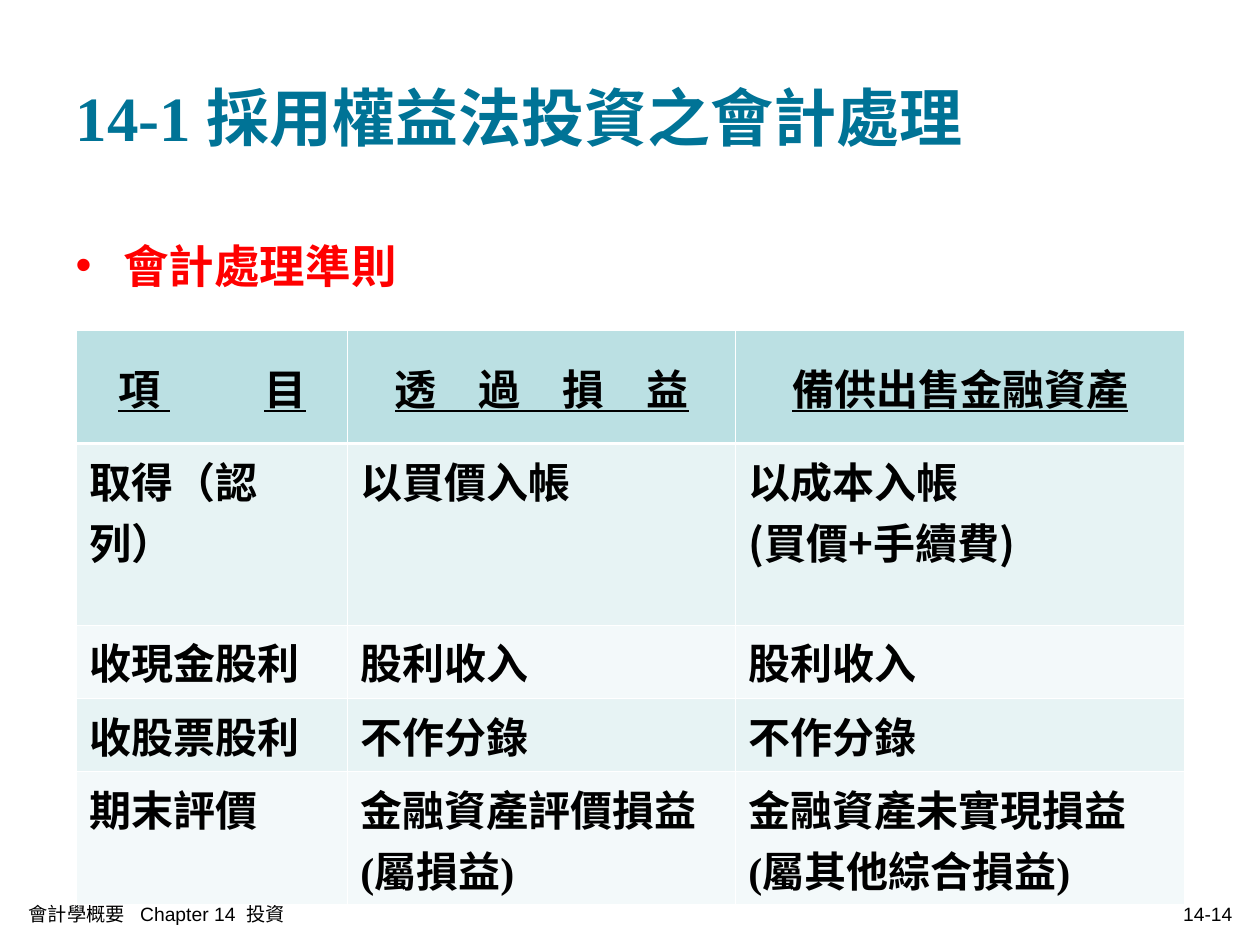
from itertools import zip_longest

from lxml.etree import SubElement
from pptx import Presentation
from pptx.dml.color import RGBColor
from pptx.enum.text import MSO_ANCHOR, PP_ALIGN
from pptx.oxml.ns import qn
from pptx.util import Inches, Pt

COLORS = {
    "title": "007396",
    "accent": "FF0000",
    "text": "000000",
    "border": "FFFFFF",
    "header": "BBE0E3",
    "odd_row": "E7F3F4",
    "even_row": "F3F9FA",
}
SERIF, SANS, CJK = "Times New Roman", "Arial", "Noto Sans CJK SC"

COLUMN_WIDTHS = (2.15, 3.08, 3.56)
ROW_HEIGHTS = (0.9, 1.44, 0.58, 0.58, 1.06)
ROWS = (
    ("項 目", "透\u3000過\u3000損\u3000益", "備供出售金融資產"),
    ("取得（認列）", "以買價入帳", "以成本入帳\n(買價+手續費)"),
    ("收現金股利", "股利收入", "股利收入"),
    ("收股票股利", "不作分錄", "不作分錄"),
    ("期末評價", "金融資產評價損益(屬損益)", "金融資產未實現損益(屬其他綜合損益)"),
)


def add_run(paragraph, text, size, font, color, bold, underline, spacing=0):
    run = paragraph.add_run()
    run.text = text
    run.font.size = Pt(size)
    run.font.name = font
    run.font.bold = bold
    run.font.underline = underline
    run.font.color.rgb = RGBColor.from_string(COLORS[color])
    properties = run.font._element
    SubElement(properties, qn("a:ea"), typeface=CJK)
    if spacing:
        properties.set("spc", str(spacing * 100))


def write_text(frame, text, size=24, font=SERIF, color="text", bold=True,
               underline=False, align=PP_ALIGN.LEFT, gaps=()):
    """Write one paragraph per line; gaps lists points that widen single spaces."""
    for index, line in enumerate(text.split("\n")):
        paragraph = frame.add_paragraph() if index else frame.paragraphs[0]
        paragraph.alignment = align
        style = (size, font, color, bold, underline)
        parts = line.split(" ", len(gaps))
        for part, gap in zip_longest(parts, gaps[:len(parts) - 1]):
            add_run(paragraph, part, *style)
            if gap is not None:
                add_run(paragraph, " ", *style, spacing=gap)


def place(shape, left, top, width, height):
    shape.left, shape.top = Inches(left), Inches(top)
    shape.width, shape.height = Inches(width), Inches(height)


def add_title(slide, text):
    title = slide.shapes.title
    place(title, 0.5, 0.3, 9, 1.25)
    title.text_frame.vertical_anchor = MSO_ANCHOR.MIDDLE
    write_text(title.text_frame, text, size=36, color="title")


def add_bullet(slide, text):
    body = slide.placeholders[1]
    place(body, 0.5, 1.75, 9, 4.95)
    write_text(body.text_frame, text, size=26, color="accent")
    paragraph = body.text_frame.paragraphs[0]
    paragraph.line_spacing = 1.2
    paragraph.space_before = Pt(0)
    properties = paragraph._p.get_or_add_pPr()
    properties.set("marL", str(Inches(0.38)))
    properties.set("indent", str(-Inches(0.38)))
    bullet_color = SubElement(properties, qn("a:buClr"))
    SubElement(bullet_color, qn("a:srgbClr"), val=COLORS["accent"])
    SubElement(properties, qn("a:buFont"), typeface=SANS)
    SubElement(properties, qn("a:buChar"), char="•")


def add_footer(slide, text, left, width, **text_format):
    box = slide.shapes.add_textbox(
        Inches(left), Inches(7.09), Inches(width), Inches(0.33))
    box.text_frame.word_wrap = True
    box.text_frame.vertical_anchor = MSO_ANCHOR.MIDDLE
    write_text(box.text_frame, text, size=11, font=SANS, bold=False, **text_format)


def set_borders(cell, row):
    """Draw thin borders, with a thicker rule below the header."""
    thick_edge = {0: "lnB", 1: "lnT"}.get(row)
    for edge in ("lnL", "lnR", "lnT", "lnB"):
        width = Pt(1.5 if edge == thick_edge else 0.45)
        line = SubElement(cell._tc.get_or_add_tcPr(), qn(f"a:{edge}"), w=str(width))
        fill = SubElement(line, qn("a:solidFill"))
        SubElement(fill, qn("a:srgbClr"), val=COLORS["border"])


def add_rules_table(slide):
    table = slide.shapes.add_table(
        len(ROWS), len(COLUMN_WIDTHS), Inches(0.61), Inches(2.62),
        Inches(sum(COLUMN_WIDTHS)), Inches(sum(ROW_HEIGHTS))).table
    for column, width in zip(table.columns, COLUMN_WIDTHS):
        column.width = Inches(width)
    for row, height in zip(table.rows, ROW_HEIGHTS):
        row.height = Inches(height)
    for row, texts in enumerate(ROWS):
        is_header = row == 0
        fill = "header" if is_header else ("even_row", "odd_row")[row % 2]
        for column, text in enumerate(texts):
            cell = table.cell(row, column)
            set_borders(cell, row)
            cell.fill.solid()
            cell.fill.fore_color.rgb = RGBColor.from_string(COLORS[fill])
            cell.vertical_anchor = MSO_ANCHOR.MIDDLE if is_header else MSO_ANCHOR.TOP
            write_text(cell.text_frame, text, underline=is_header,
                       font=CJK if row == 1 else SERIF,
                       align=PP_ALIGN.CENTER if is_header else PP_ALIGN.LEFT,
                       gaps=(54,) if " " in text else ())


def main():
    presentation = Presentation()
    presentation.slide_width, presentation.slide_height = Inches(10), Inches(7.5)
    slide = presentation.slides.add_slide(presentation.slide_layouts[1])
    add_title(slide, "14-1 採用權益法投資之會計處理")
    add_bullet(slide, "會計處理準則")
    add_footer(slide, "會計學概要 Chapter 14 投資", 0.13, 5.1, gaps=(6, 0, 3))
    add_footer(slide, "14-14", 6.8, 3.08, align=PP_ALIGN.RIGHT)
    add_rules_table(slide)
    presentation.save("out.pptx")


if __name__ == "__main__":
    main()
